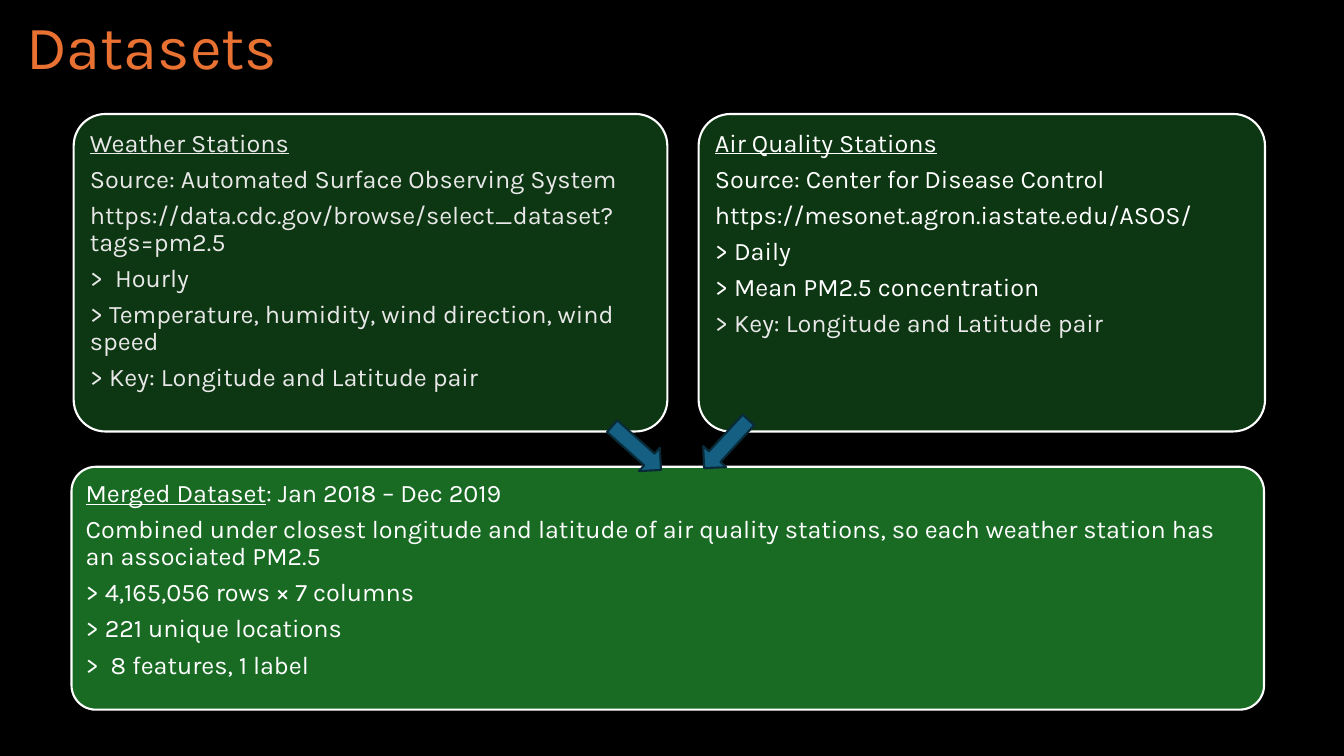
from dataclasses import dataclass

from pptx import Presentation
from pptx.dml.color import RGBColor
from pptx.enum.shapes import MSO_SHAPE
from pptx.enum.text import MSO_ANCHOR, MSO_AUTO_SIZE, PP_ALIGN
from pptx.shapes.autoshape import Shape
from pptx.slide import Slide
from pptx.text.text import Font
from pptx.util import Pt

ROUND = MSO_SHAPE.ROUNDED_RECTANGLE
ARROW = MSO_SHAPE.RIGHT_ARROW
LEFT = PP_ALIGN.LEFT
TOP, MIDDLE = MSO_ANCHOR.TOP, MSO_ANCHOR.MIDDLE
NO_FIT = MSO_AUTO_SIZE.NONE

FACE = "Karla"
BLACK, WHITE, GREY = "000000", "FFFFFF", "E8E8E8"
ORANGE, BLUE, NAVY = "E97132", "156082", "092A39"
DARK, GREEN = "0D3612", "196B24"
KEY = "> Key: Longitude and Latitude pair"


@dataclass
class Box:
    left: float
    top: float
    width: float
    height: float


@dataclass
class Line:
    text: str
    ink: str = WHITE


@dataclass
class Card:
    box: Box
    fill: str
    head: Line
    tail: str
    lines: list[Line]


@dataclass
class Arrow:
    box: Box
    turn: float


CARDS = [
    Card(Box(51.1, 333.4, 851.8, 173.5), GREEN,
         Line("Merged Dataset"), ": Jan 2018 – Dec 2019", [
             Line("Combined under closest longitude and latitude of air quality "
                  "stations, so each weather station has an associated PM2.5"),
             Line("> 4,165,056 rows × 7 columns"),
             Line("> 221 unique locations"),
             Line(">  8 features, 1 label")]),
    Card(Box(52.6, 81.4, 424.1, 226.8), DARK,
         Line("Weather Stations", GREY), "", [
             Line("Source: Automated Surface Observing System", GREY),
             Line("https://data.cdc.gov/browse/select_dataset?tags=pm2.5", GREY),
             Line(">  Hourly", GREY),
             Line("> Temperature, humidity, wind direction, wind speed", GREY),
             Line(KEY, GREY)]),
    Card(Box(499, 81.4, 404.6, 226.8), DARK,
         Line("Air Quality Stations"), "", [
             Line("Source: Center for Disease Control"),
             Line("https://mesonet.agron.iastate.edu/ASOS/"),
             Line("> Daily"),
             Line("> Mean PM2.5 concentration"),
             Line(KEY, GREY)]),
]

ARROWS = [
    Arrow(Box(431.3, 308.9, 46.8, 22.3), 41.8),
    Arrow(Box(495.4, 306, 46.8, 22.3), 132.7),
]


def paint(part, ink: str) -> None:
    """Give a fill a solid colour."""
    part.solid()
    part.fore_color.rgb = RGBColor.from_string(ink)


def style(font: Font, size: float, ink: str) -> None:
    font.name = FACE
    font.size = Pt(size)
    paint(font.fill, ink)


def add_form(slide: Slide, kind: MSO_SHAPE, box: Box, fill: str, edge: str) -> Shape:
    form = slide.shapes.add_shape(
        kind, Pt(box.left), Pt(box.top), Pt(box.width), Pt(box.height))
    form.shadow.inherit = False
    paint(form.fill, fill)
    paint(form.line.fill, edge)
    form.line.width = Pt(1.5)
    return form


def add_card(slide: Slide, card: Card) -> None:
    form = add_form(slide, ROUND, card.box, card.fill, WHITE)
    form.adjustments[0] = 0.1
    frame = form.text_frame
    frame.word_wrap = True
    frame.vertical_anchor = TOP
    frame.margin_left = frame.margin_right = Pt(5)
    frame.margin_top = frame.margin_bottom = Pt(5)
    lines = [card.head, *card.lines]
    frame.text = "\n".join(line.text for line in lines)
    first = frame.paragraphs[0]
    first.runs[0].font.underline = True
    if card.tail:
        first.add_run().text = card.tail
    for para, line in zip(frame.paragraphs, lines):
        para.alignment = LEFT
        para.line_spacing = 0.9
        para.space_after = Pt(6.3)
        for run in para.runs:
            style(run.font, 18, line.ink)


def add_title(slide: Slide, text: str) -> None:
    title = slide.shapes.title
    title.left, title.top = Pt(11.5), Pt(-16.6)
    title.width, title.height = Pt(828), Pt(104.4)
    frame = title.text_frame
    frame.text = text
    frame.auto_size = NO_FIT
    frame.vertical_anchor = MIDDLE
    para = frame.paragraphs[0]
    para.alignment = LEFT
    para.line_spacing = 0.9
    style(para.runs[0].font, 44, ORANGE)


def main() -> None:
    deck = Presentation()
    deck.slide_width, deck.slide_height = Pt(960), Pt(540)
    slide = deck.slides.add_slide(deck.slide_layouts.get_by_name("Title Only"))
    paint(slide.background.fill, BLACK)
    add_title(slide, "Datasets")
    for card in CARDS:
        add_card(slide, card)
    for arrow in ARROWS:
        form = add_form(slide, ARROW, arrow.box, BLUE, NAVY)
        form.rotation = arrow.turn
    deck.save("out.pptx")


if __name__ == "__main__":
    main()
